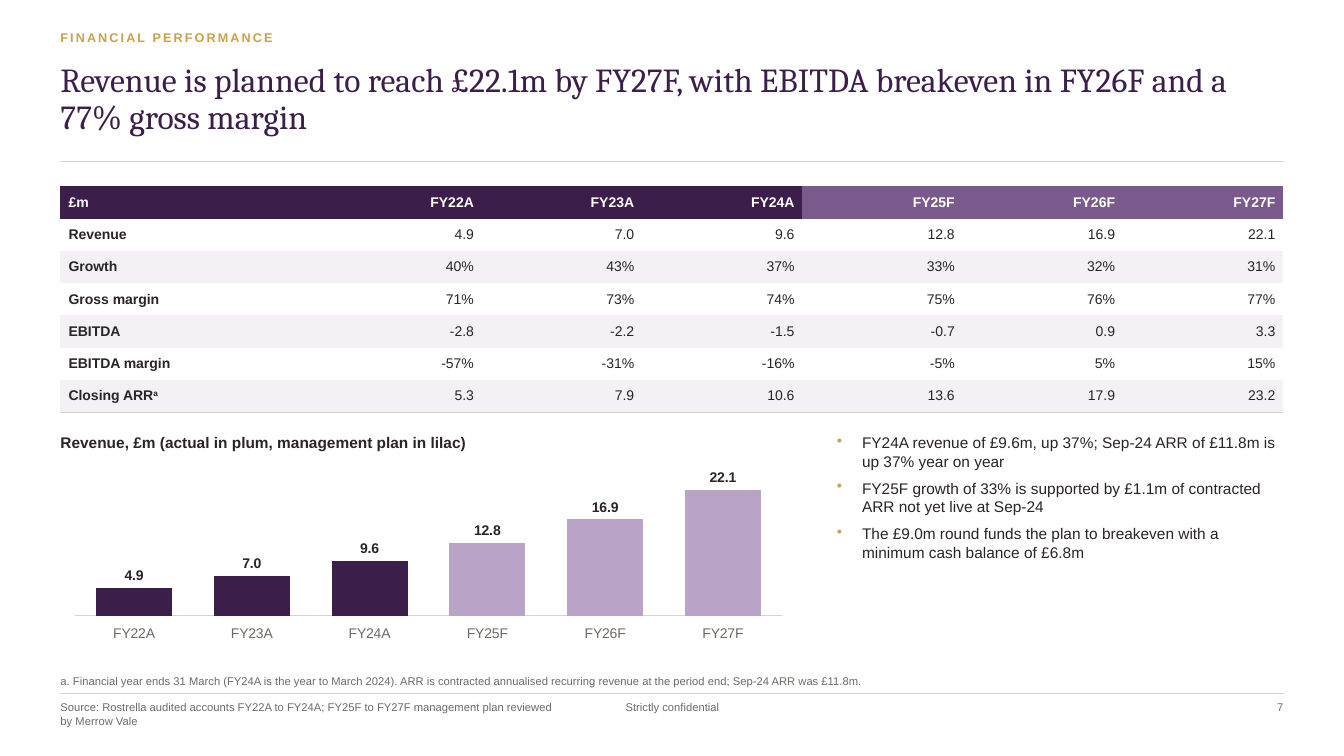
from dataclasses import dataclass

from lxml.etree import SubElement
from pptx import Presentation
from pptx.chart.data import CategoryChartData
from pptx.dml.color import RGBColor
from pptx.enum.chart import XL_CHART_TYPE, XL_LABEL_POSITION, XL_TICK_LABEL_POSITION, XL_TICK_MARK
from pptx.enum.shapes import MSO_CONNECTOR
from pptx.enum.text import MSO_ANCHOR, PP_ALIGN
from pptx.oxml.ns import qn
from pptx.util import Inches, Pt


@dataclass(frozen=True)
class Theme:
    heading_font: str = "Cambria"
    body_font: str = "Arial"
    plum: str = "3B1F4A"
    mid_plum: str = "7A5A8C"
    lilac: str = "B9A3C6"
    band: str = "F4F0F6"
    gold: str = "C8A24A"
    ink: str = "2A2328"
    grey: str = "6E6A66"
    rule: str = "D8D2CA"
    white: str = "FFFFFF"
    title_size: float = 24
    body_size: float = 11
    data_size: float = 10
    label_size: float = 9
    note_size: float = 8


THEME = Theme()
LEFT, WIDTH = 0.6, 12.13
YEARS = ["FY22A", "FY23A", "FY24A", "FY25F", "FY26F", "FY27F"]
ACTUAL_YEARS = 3
REVENUE = [4.9, 7.0, 9.6, 12.8, 16.9, 22.1]
METRICS = [
    ("Revenue", [f"{value:.1f}" for value in REVENUE]),
    ("Growth", ["40%", "43%", "37%", "33%", "32%", "31%"]),
    ("Gross margin", ["71%", "73%", "74%", "75%", "76%", "77%"]),
    ("EBITDA", ["-2.8", "-2.2", "-1.5", "-0.7", "0.9", "3.3"]),
    ("EBITDA margin", ["-57%", "-31%", "-16%", "-5%", "5%", "15%"]),
    ("Closing ARR", ["5.3", "7.9", "10.6", "13.6", "17.9", "23.2"]),
]
FOOTNOTE_MARKS = {"Closing ARR": "a"}
TAKEAWAYS = [
    "FY24A revenue of £9.6m, up 37%; Sep-24 ARR of £11.8m is up 37% year on year",
    "FY25F growth of 33% is supported by £1.1m of contracted ARR not yet live at Sep-24",
    "The £9.0m round funds the plan to breakeven with a minimum cash balance of £6.8m",
]


def rgb(colour):
    return RGBColor.from_string(colour)


class SlideBuilder:
    def __init__(self, slide, theme):
        self.slide = slide
        self.theme = theme

    def style(self, font, size, colour, bold=False, name=None):
        font.name = name or self.theme.body_font
        font.size = Pt(size)
        font.bold = bold
        font.color.rgb = rgb(colour)

    def span(self, para, text, size, colour, bold=False, name=None, **attributes):
        """Add one run; attributes go on its properties, such as spc or baseline."""
        span = para.add_run()
        span.text = text
        self.style(span.font, size, colour, bold, name)
        for key, value in attributes.items():
            span._r.get_or_add_rPr().set(key, str(value))

    def frame(self, shape, anchor=MSO_ANCHOR.TOP):
        """Prepare a wrapping text frame without insets."""
        frame = shape.text_frame
        frame.word_wrap = True
        frame.vertical_anchor = anchor
        frame.margin_left = frame.margin_right = frame.margin_top = frame.margin_bottom = 0
        return frame

    def box(self, left, top, width, height, anchor=MSO_ANCHOR.TOP):
        shape = self.slide.shapes.add_textbox(Inches(left), Inches(top), Inches(width), Inches(height))
        return self.frame(shape, anchor)

    def title(self, text):
        shape = self.slide.shapes.title
        shape.left, shape.top = Inches(LEFT), Inches(0.62)
        shape.width, shape.height = Inches(WIDTH), Inches(0.9)
        para = self.frame(shape).paragraphs[0]
        para.alignment = PP_ALIGN.LEFT
        para.line_spacing = 0.92
        self.span(para, text, self.theme.title_size, self.theme.plum, name=self.theme.heading_font)

    def text(self, text, at, size, colour, bold=False, align=PP_ALIGN.LEFT,
             anchor=MSO_ANCHOR.TOP, **attributes):
        para = self.box(*at, anchor).paragraphs[0]
        para.alignment = align
        self.span(para, text, size, colour, bold, **attributes)

    def note(self, text, at, **options):
        self.text(text, at, self.theme.note_size, self.theme.grey, **options)

    def bullets(self, items, at):
        frame = self.box(*at)
        for index, item in enumerate(items):
            para = frame.add_paragraph() if index else frame.paragraphs[0]
            properties = para._p.get_or_add_pPr()
            properties.set("marL", str(Inches(0.25)))
            properties.set("indent", str(-Inches(0.25)))
            if index:
                para.space_before = Pt(6)
            bullet_colour = SubElement(properties, qn("a:buClr"))
            SubElement(bullet_colour, qn("a:srgbClr"), val=self.theme.gold)
            SubElement(properties, qn("a:buChar"), char="•")
            self.span(para, item, self.theme.body_size, self.theme.ink)

    def rule(self, top, weight):
        line = self.slide.shapes.add_connector(
            MSO_CONNECTOR.STRAIGHT, Inches(LEFT), Inches(top), Inches(LEFT + WIDTH), Inches(top))
        line.line.color.rgb = rgb(self.theme.rule)
        line.line.width = Pt(weight)
        SubElement(line._element.spPr, qn("a:effectLst"))

    def cell(self, cell, texts, colour, fill, bold, align, underlined):
        """Fill a cell; texts are the main text and an optional superscript."""
        properties = cell._tc.get_or_add_tcPr()
        for side in ("lnL", "lnR", "lnT", "lnB"):
            border = SubElement(properties, qn(f"a:{side}"), w=str(Pt(0.5)))
            if side == "lnB" and underlined:
                solid = SubElement(border, qn("a:solidFill"))
                SubElement(solid, qn("a:srgbClr"), val=self.theme.rule)
            else:
                SubElement(border, qn("a:noFill"))
        if fill:
            cell.fill.solid()
            cell.fill.fore_color.rgb = rgb(fill)
        else:
            cell.fill.background()
        cell.margin_left = cell.margin_right = Inches(0.08)
        cell.margin_top = cell.margin_bottom = Inches(0.04)
        cell.vertical_anchor = MSO_ANCHOR.MIDDLE
        para = cell.text_frame.paragraphs[0]
        para.alignment = align
        main, mark = texts
        self.span(para, main, self.theme.data_size, colour, bold)
        if mark:
            self.span(para, mark, self.theme.data_size, colour, bold, baseline=30000)

    def metrics_table(self, rows, top, first_width, year_width, row_height):
        theme = self.theme
        table = self.slide.shapes.add_table(
            len(rows), len(rows[0]), Inches(LEFT), Inches(top),
            Inches(WIDTH), Inches(row_height * len(rows))).table
        table.first_row = table.horz_banding = False
        for index, column in enumerate(table.columns):
            column.width = Inches(year_width if index else first_width)
        for r, values in enumerate(rows):
            table.rows[r].height = Inches(row_height)
            for c, value in enumerate(values):
                header = r == 0
                if header:
                    fill = theme.plum if c <= ACTUAL_YEARS else theme.mid_plum
                else:
                    fill = None if r % 2 else theme.band
                self.cell(table.cell(r, c), (value, FOOTNOTE_MARKS.get(value)),
                          theme.white if header else theme.ink, fill, header or c == 0,
                          PP_ALIGN.RIGHT if c else PP_ALIGN.LEFT, not header)

    def revenue_chart(self, left, top, width, height):
        theme = self.theme
        data = CategoryChartData(number_format="0.0")
        data.categories = YEARS
        data.add_series("Series 1", REVENUE)
        chart = self.slide.shapes.add_chart(
            XL_CHART_TYPE.COLUMN_CLUSTERED, Inches(left), Inches(top),
            Inches(width), Inches(height), data).chart
        chart.has_legend = chart.has_title = False
        self.style(chart.font, theme.data_size, theme.ink)

        years = chart.category_axis
        years.major_tick_mark = years.minor_tick_mark = XL_TICK_MARK.NONE
        years.tick_label_position = XL_TICK_LABEL_POSITION.LOW
        self.style(years.tick_labels.font, theme.data_size, theme.grey)
        years.format.line.color.rgb = rgb(theme.rule)
        years.format.line.width = Pt(0.75)
        amounts = chart.value_axis
        amounts.minimum_scale, amounts.maximum_scale = 0, 26
        amounts.has_major_gridlines = amounts.visible = False

        plot = chart.plots[0]
        plot.gap_width = 55
        plot.vary_by_categories = False
        plot.has_data_labels = True
        labels = plot.data_labels
        labels.show_value = True
        labels.position = XL_LABEL_POSITION.OUTSIDE_END
        labels.number_format, labels.number_format_is_linked = "0.0", False
        self.style(labels.font, theme.data_size, theme.ink, bold=True)
        series = plot.series[0]
        fills = [series.format.fill]
        fills += [series.points[i].format.fill for i in range(ACTUAL_YEARS, len(YEARS))]
        for index, fill in enumerate(fills):
            fill.solid()
            fill.fore_color.rgb = rgb(theme.lilac if index else theme.plum)


def main():
    deck = Presentation()
    deck.slide_width, deck.slide_height = Inches(13.33), Inches(7.5)
    page = SlideBuilder(deck.slides.add_slide(deck.slide_layouts[5]), THEME)
    page.rule(6.88, 0.5)
    page.text("FINANCIAL PERFORMANCE", (LEFT, 0.3, 7, 0.25), THEME.label_size, THEME.gold,
              bold=True, spc=150)
    page.rule(1.6, 0.75)
    page.title("Revenue is planned to reach £22.1m by FY27F, with EBITDA breakeven in FY26F "
               "and a 77% gross margin")
    rows = [["£m", *YEARS]] + [[name, *values] for name, values in METRICS]
    page.metrics_table(rows, 1.85, 2.59, 1.59, 0.32)
    page.text("Revenue, £m (actual in plum, management plan in lilac)", (LEFT, 4.3, 7.3, 0.3),
              THEME.body_size, THEME.ink, bold=True)
    page.revenue_chart(LEFT, 4.6, 7.3, 1.8)
    page.bullets(TAKEAWAYS, (8.3, 4.3, 4.43, 2.1))
    page.note("a. Financial year ends 31 March (FY24A is the year to March 2024). ARR is contracted "
              "annualised recurring revenue at the period end; Sep-24 ARR was £11.8m.",
              (LEFT, 6.42, WIDTH, 0.4), anchor=MSO_ANCHOR.BOTTOM)
    page.note("Source: Rostrella audited accounts FY22A to FY24A; FY25F to FY27F management plan "
              "reviewed by Merrow Vale", (LEFT, 6.95, 5, 0.4))
    page.note("Strictly confidential", (5.67, 6.95, 2, 0.25), align=PP_ALIGN.CENTER)
    page.note("7", (11.73, 6.95, 1, 0.25), align=PP_ALIGN.RIGHT)
    deck.save("out.pptx")


if __name__ == "__main__":
    main()
